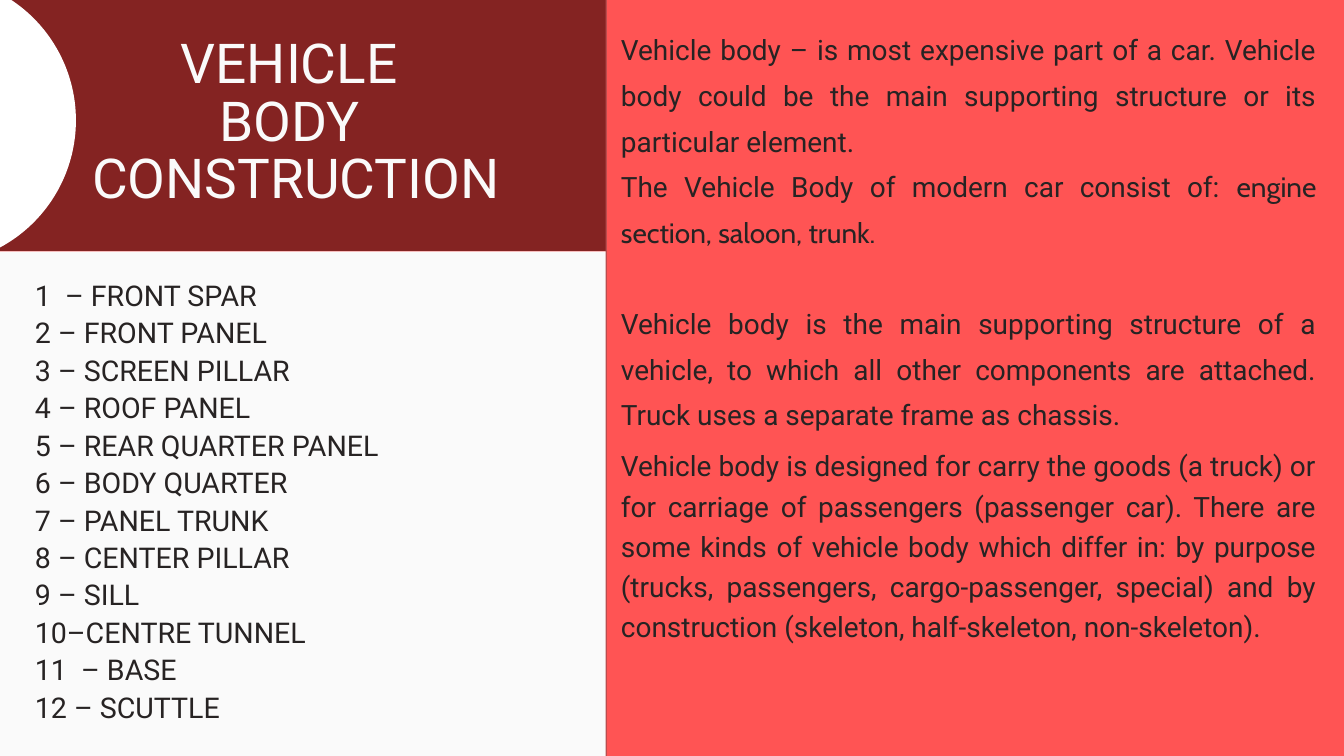
import pptx
import pptx.util
import pptx.dml.color
import pptx.enum.shapes
import pptx.enum.text

Cm = pptx.util.Cm
Pt = pptx.util.Pt
Kind = pptx.enum.shapes.MSO_SHAPE
Align = pptx.enum.text.PP_ALIGN

WIDE, HIGH = 50.8, 28.58
SPLIT, BAND = 22.89, 9.5
DARK, PALE = "272323", "FAFAFA"

TITLE = ["VEHICLE ", "BODY ", "CONSTRUCTION"]
PARTS = [
    "1  – FRONT SPAR",
    "2 – FRONT PANEL",
    "3 – SCREEN PILLAR",
    "4 – ROOF PANEL",
    "5 – REAR QUARTER PANEL",
    "6 – BODY QUARTER",
    "7 – PANEL TRUNK",
    "8 – CENTER PILLAR",
    "9 – SILL",
    "10–CENTRE TUNNEL",
    "11  – BASE",
    "12 – SCUTTLE",
]
INTRO = [
    "Vehicle body – is most expensive part of a car. Vehicle body could be "
    "the main supporting structure or its particular element. ",
    "The Vehicle Body of modern car consist of: ",
    "Vehicle body is the main supporting structure of a vehicle, to which all "
    "other components are attached. Truck uses a separate frame as chassis.",
]
SECTIONS = "engine section, saloon, trunk."
KINDS = [
    "Vehicle body is designed for carry the goods (a truck) or for carriage of "
    "passengers (passenger car). There are some kinds of vehicle body which "
    "differ in: by purpose (trucks, passengers, cargo-passenger, special) and "
    "by construction (skeleton, half-skeleton, non-skeleton).",
]


def paint(fill, color):
    fill.solid()
    fill.fore_color.rgb = pptx.dml.color.RGBColor.from_string(color)


def add_block(slide, kind, left, top, width, height, color):
    shape = slide.shapes.add_shape(kind, Cm(left), Cm(top), Cm(width), Cm(height))
    shape.shadow.inherit = False
    paint(shape.fill, color)
    shape.line.fill.background()


def style(run, size, color, font="Roboto"):
    run.font.size = Pt(size)
    run.font.name = font
    paint(run.font.fill, color)


def add_text(slide, left, top, width, height, lines, size, pitch,
             color=DARK, align=Align.JUSTIFY):
    box = slide.shapes.add_textbox(Cm(left), Cm(top), Cm(width), Cm(height))
    frame = box.text_frame
    frame.word_wrap = True
    frame.margin_left = frame.margin_right = 0
    frame.margin_top = frame.margin_bottom = 0
    frame.text = "\n".join(lines)
    for para in frame.paragraphs:
        para.alignment = align
        para.line_spacing = Pt(pitch)
        for run in para.runs:
            style(run, size, color)
    return frame.paragraphs


def main():
    deck = pptx.Presentation()
    deck.slide_width, deck.slide_height = Cm(WIDE), Cm(HIGH)
    slide = deck.slides.add_slide(deck.slide_layouts[6])
    paint(slide.background.fill, "FF5454")

    add_block(slide, Kind.RECTANGLE, SPLIT, 0, 0.03, HIGH, "3F4042")
    add_block(slide, Kind.RECTANGLE, 0, 0, SPLIT, BAND, "842322")
    add_block(slide, Kind.RECTANGLE, 0, BAND, SPLIT, HIGH - BAND, PALE)
    add_block(slide, Kind.OVAL, -8.05, -0.91, 10.92, 10.92, "FFFFFF")

    add_text(slide, 0, 1.4, 22.38, 6.55, TITLE, 58.9, 61.8, PALE, Align.CENTER)
    add_text(slide, 1.32, 10.39, 14.99, 16.81, PARTS, 30.6, 40.1)
    intro = add_text(slide, 23.47, 0.79, 26.29, 15.37, INTRO, 30, 48.9)
    run = intro[1].add_run()
    run.text = SECTIONS
    style(run, 30, DARK, "Cabin")
    intro[2].space_before = Pt(48.9)
    add_text(slide, 23.47, 16.71, 26.29, 9.02, KINDS, 30, 43.2)

    deck.save("out.pptx")


if __name__ == "__main__":
    main()
